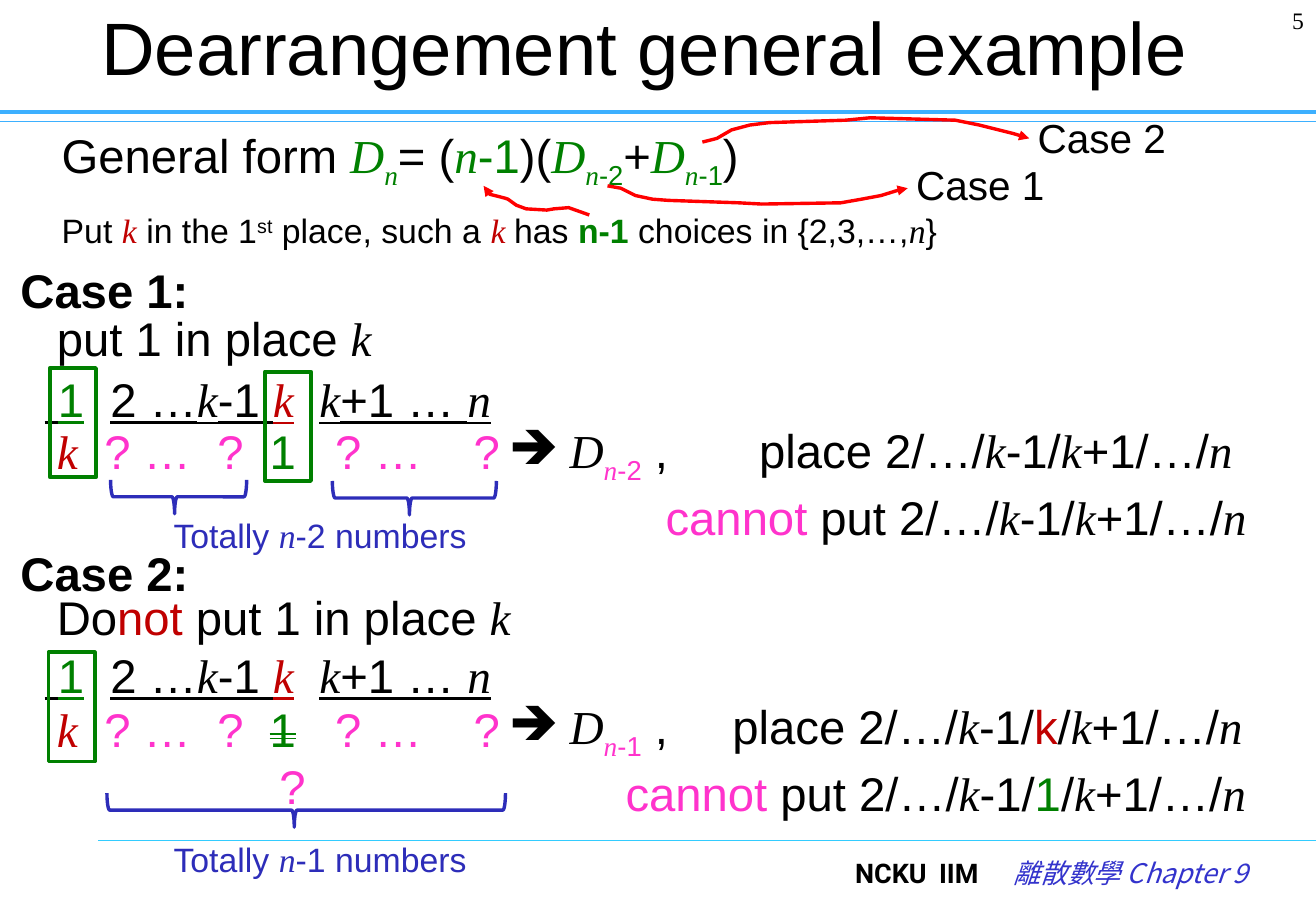
import pptx
import pptx.util
import pptx.dml.color
import pptx.enum.shapes
import pptx.enum.text
import pptx.oxml.ns
import lxml.etree

COLS, ROWS = 108.3, 75
COLORS = {"black": "000000", "red": "C00000", "green": "008000", "pink": "FF33CC",
          "navy": "2D2DB9", "footer": "3333CC", "rule": "3DB0FF", "base": "33CCFF",
          "arrow": "FF0000"}
FLAG_COLORS = {"r": "red", "g": "green", "p": "pink", "f": "footer"}
ALIGN = pptx.enum.text.PP_ALIGN
SHAPE = pptx.enum.shapes.MSO_SHAPE


def add_xml(parent, tag, **attrs):
    return lxml.etree.SubElement(parent, pptx.oxml.ns.qn(tag), attrs)


class Deck:
    """Text is marked up as 'run|run~flags': i Times italic, b bold, u underline,
    s struck, - subscript, + superscript, c CJK font, r g p f colours."""

    def __init__(self):
        self.prs = pptx.Presentation()
        self.prs.slide_width = pptx.util.Inches(10.83)
        self.prs.slide_height = pptx.util.Inches(7.5)
        self.s = self.prs.slides.add_slide(self.prs.slide_layouts[6])

    def x(self, cols):
        return round(self.prs.slide_width * cols / COLS)

    def y(self, rows):
        return round(self.prs.slide_height * rows / ROWS)

    def frame(self, left, top, width, height):
        return self.x(left), self.y(top), self.x(width), self.y(height)

    def rgb(self, name):
        return pptx.dml.color.RGBColor.from_string(COLORS[name])

    def stroke(self, sp, color, width):
        sp.line.color.rgb = self.rgb(color)
        sp.line.width = pptx.util.Pt(width)

    def text(self, at, *paragraphs, size=28, color="black", font="Arial", align=ALIGN.LEFT,
             middle=False, tabs=(), indents=(0, 0), bullet=None, gap=0):
        """Tabs and indents are in columns; gap is the points between paragraphs."""
        tf = self.s.shapes.add_textbox(*self.frame(*at)).text_frame
        tf.word_wrap = True
        if middle:
            tf.vertical_anchor = pptx.enum.text.MSO_ANCHOR.MIDDLE
        for i, markup in enumerate(paragraphs):
            p = tf.paragraphs[0] if i == 0 else tf.add_paragraph()
            p.alignment = align
            if i and gap:
                p.space_before = pptx.util.Pt(gap)
            pPr = p._p.get_or_add_pPr()
            pPr.set("marL", str(self.x(indents[i])))
            if bullet:
                pPr.set("indent", str(-self.x(indents[i])))
                add_xml(pPr, "a:buChar", char=bullet)
            if tabs:
                tab_list = add_xml(pPr, "a:tabLst")
                for tab in tabs:
                    add_xml(tab_list, "a:tab", pos=str(self.x(tab)), algn="l")
            p.font.name, p.font.size = font, pptx.util.Pt(size)
            p.font.color.rgb = self.rgb(color)
            for piece in markup.split("|"):
                self.run(p, *piece.split("~"))

    def run(self, p, text, flags=""):
        r = p.add_run()
        r.text = text
        rPr = r._r.get_or_add_rPr()
        for flag in flags:
            if flag in FLAG_COLORS:
                r.font.color.rgb = self.rgb(FLAG_COLORS[flag])
        if "i" in flags:
            r.font.italic = True
            if "c" not in flags:
                r.font.name = "Times New Roman"
        if "c" in flags:
            r.font.name = "Noto Sans CJK SC"
            add_xml(rPr, "a:ea", typeface="Noto Sans CJK SC")
        if "b" in flags:
            r.font.bold = True
        if "u" in flags:
            r.font.underline = True
        if "s" in flags:
            rPr.set("strike", "dblStrike")
        if "-" in flags:
            rPr.set("baseline", "-25000")
        if "+" in flags:
            rPr.set("baseline", "30000")

    def rule(self, left, row, color, width):
        line = self.s.shapes.add_connector(pptx.enum.shapes.MSO_CONNECTOR.STRAIGHT,
                                           self.x(left), self.y(row), self.x(COLS), self.y(row))
        self.stroke(line, color, width)
        add_xml(line._element.spPr, "a:effectLst")

    def outline(self, kind, at, color, width):
        sp = self.s.shapes.add_shape(kind, *self.frame(*at))
        sp.shadow.inherit = False
        sp.fill.background()
        self.stroke(sp, color, width)
        return sp

    def brace(self, center, top, span):
        """Brace opening upwards, spanning the given columns."""
        depth = 2.8
        at = (center - depth / 2, top + depth / 2 - span / 2, depth, span)
        sp = self.outline(SHAPE.RIGHT_BRACE, at, "navy", 2)
        sp.rotation = 90
        sp.adjustments[0], sp.adjustments[1] = 0.08, 0.53

    def arrow(self, points):
        (x0, y0), *rest = [(self.x(cx), self.y(cy)) for cx, cy in points]
        builder = self.s.shapes.build_freeform(x0, y0)
        builder.add_line_segments(rest, close=False)
        sp = builder.convert_to_shape()
        sp.shadow.inherit = False
        sp.fill.background()
        self.stroke(sp, "arrow", 2)
        add_xml(sp.line._get_or_add_ln(), "a:tailEnd", type="triangle")

    def case(self, rows, title, action, answers, formula, details, detail_left, detail_indents,
             boxes, braces, total):
        head, put, numbers, answer, result, total_row = rows
        self.text((0.7, head, 30, 5.7), title + "~b")
        self.text((3.7, put, 42, 5.7), action)
        self.text((2.7, numbers, 42, 5.7),
                  " ~u|1~gu|\t2 …~u|k~iu|-1 ~u|k~iru|\t~u|k~iu|+1 … ~u|n~iu", tabs=(5.4, 22.6))
        self.text((3.7, answer, 40.1, 5.7 * len(answers)), *answers,
                  tabs=(3.9, 13.2, 17.5, 22.9, 34.3), indents=(0, 18.3))
        self.text((40.9, result, 17, 5.7), formula, bullet="➔", indents=(5,))
        self.text((detail_left, result, 56, 10.4), *details, indents=detail_indents, gap=6)
        for left, top in boxes:
            self.outline(SHAPE.RECTANGLE, (left, top, 3.8, 9), "green", 2.25)
        for center, top, span in braces:
            self.brace(center, top, span)
        self.text((13.3, total_row, 26.5, 4.4), total, size=20, color="navy")


def main():
    d = Deck()
    d.rule(0, 10, "rule", 0.75)
    d.rule(0, 9.2, "rule", 2.5)
    d.rule(8.1, 69.2, "base", 0.75)
    d.text((69.4, 70, 38, 5), "NCKU\tIIM\t~b|離散數學 Chapter 9~cif", size=16, font="Roboto",
           tabs=(6.9, 13))
    d.text((6.8, 0, 92.5, 7.5), "Dearrangement general example", size=44, align=ALIGN.CENTER,
           middle=True)
    d.text((99.3, 0, 9, 5), "5", size=14, font="Times New Roman", align=ALIGN.RIGHT)

    d.text((4.1, 9.9, 61, 5.7), "General form |D~ig|n~ig-|= (|n~ig|-1~g|)(|D~ig|n~ig-|-2~g-|+"
           "|D~ig|n~ig-|-1~g-|)")
    d.text((4.1, 16.8, 76, 4.4), "Put |k~ir| in the 1|st~+| place, such a |k ~ir|has |n-1~gb"
           "| choices in {2,3,…,|n~i|}", size=20)
    d.text((74.4, 12.7, 12.7, 5.1), "Case 1", size=24)
    d.text((84.4, 8.8, 12.7, 5.1), "Case 2", size=24)

    d.case((21, 25, 30, 34.3, 34.2, 41.9), "Case 1:", "put 1 in place |k~i",
           ["k~ir|\t? …\t?\t~p|1~g|\t? …\t?~p"], "D~i|n~ip-|-2~p-| ,",
           ["place 2/…/|k~i|-1/|k~i|+1/…/|n~i",
            "cannot~p| put 2/…/|k~i|-1/|k~i|+1/…/|n~i"], 53.8, (7.7, 0),
           [(4.1, 30.3), (21.8, 30.6)], [(14.7, 39.5, 11.2), (34.1, 39.6, 13.5)],
           "Totally |n~i|-2 numbers")
    d.case((44.3, 47.9, 52.7, 57.2, 56.9, 68.6), "Case 2:", "Do|not~r| put 1 in place |k~i",
           ["k~ir|\t? …\t?\t~p|1~gs|\t? …\t?~p", "?~p"], "D~i|n~ip-|-1~p-| ,",
           ["place 2/…/|k~i|-1/|k~r|/|k~i|+1/…/|n~i",
            "cannot~p| put 2/…/|k~i|-1/|1~g|/|k~i|+1/…/|n~i"], 50.5, (8.8, 0),
           [(4, 53.7)], [(25.2, 65.3, 32.8)], "Totally |n~i|-1 numbers")

    d.arrow([(48.5, 17.7), (46.8, 17.1), (45.6, 17.2), (45, 17.3), (43.3, 17.2), (42.5, 16.9),
             (41.8, 16.4), (41.5, 16.3), (40.3, 16), (40.1, 15.6), (39.8, 15.3)])
    d.arrow([(50, 15.3), (51.1, 15.5), (52.3, 16.1), (53.7, 16.4), (55, 16.5), (60.8, 16.7),
             (62.7, 16.8), (69.2, 16.7), (70.9, 16.4), (72.5, 16.1), (73.8, 15.7), (74.7, 15.5)])
    d.arrow([(57.8, 11.7), (59, 11.4), (60.2, 10.7), (61.7, 10.3), (63.3, 10.1), (69.6, 9.9),
             (71.6, 9.7), (78.6, 9.9), (80.6, 10.3), (82.2, 10.7), (83.4, 11), (84.7, 11.4)])
    d.prs.save("out.pptx")


if __name__ == "__main__":
    main()
